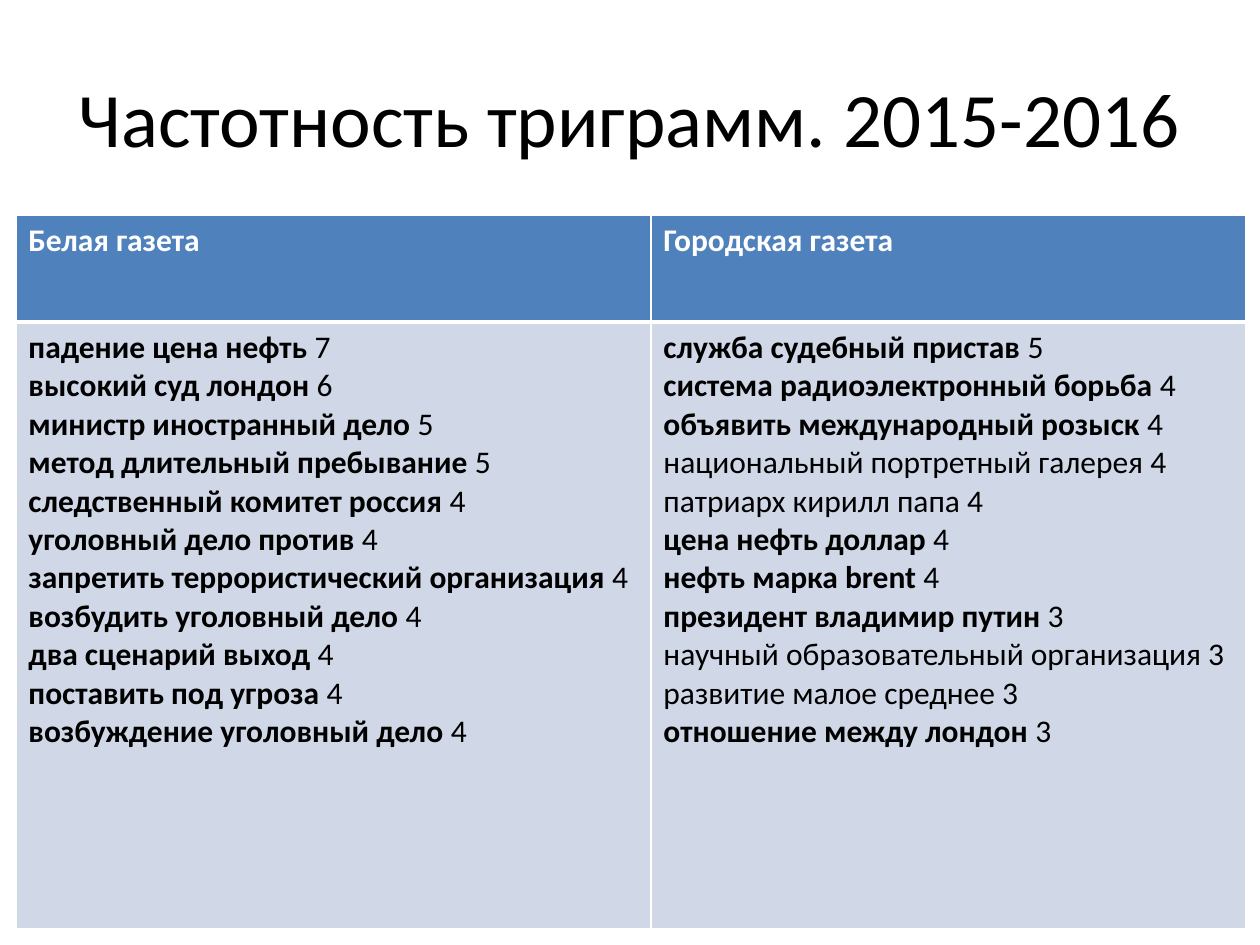
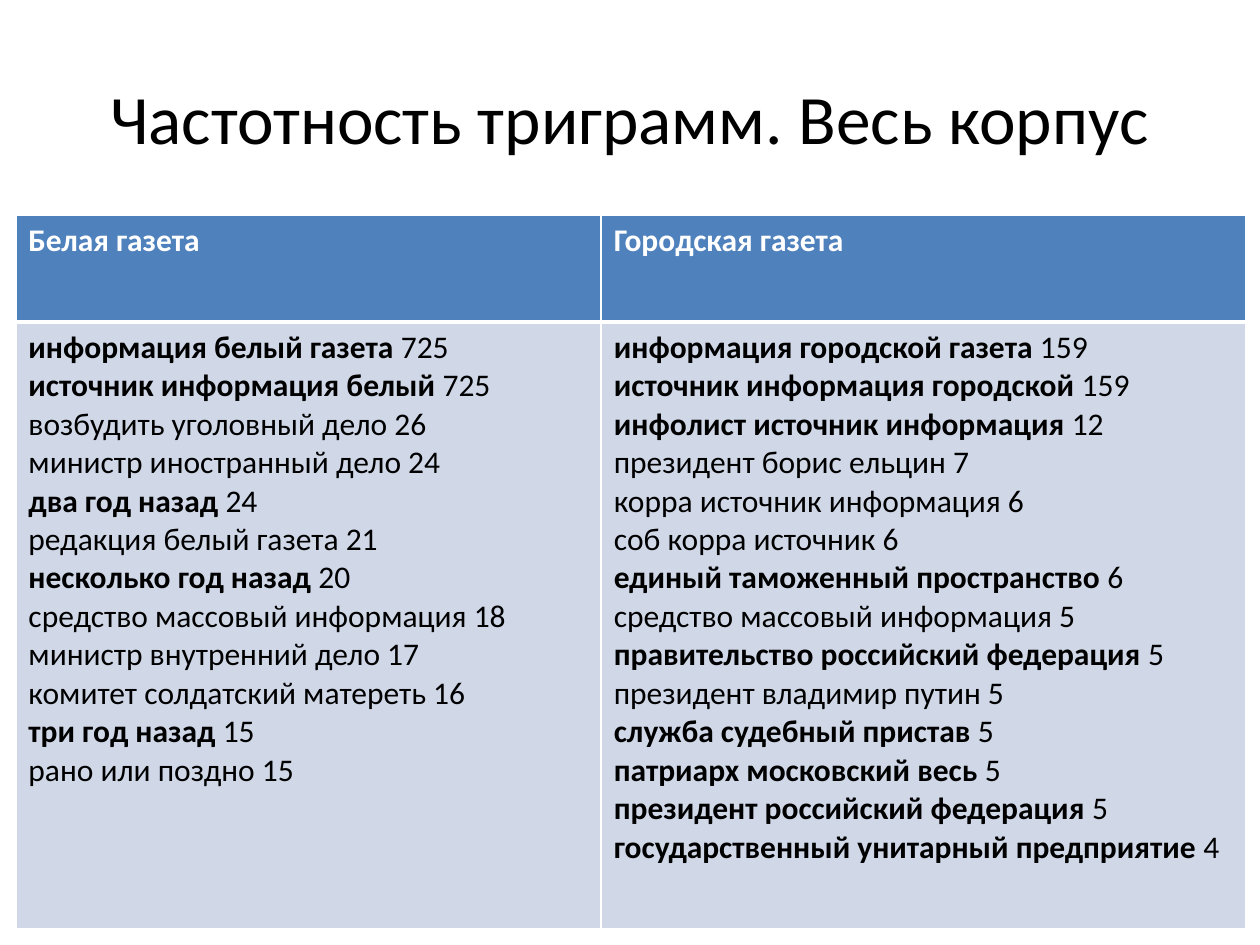
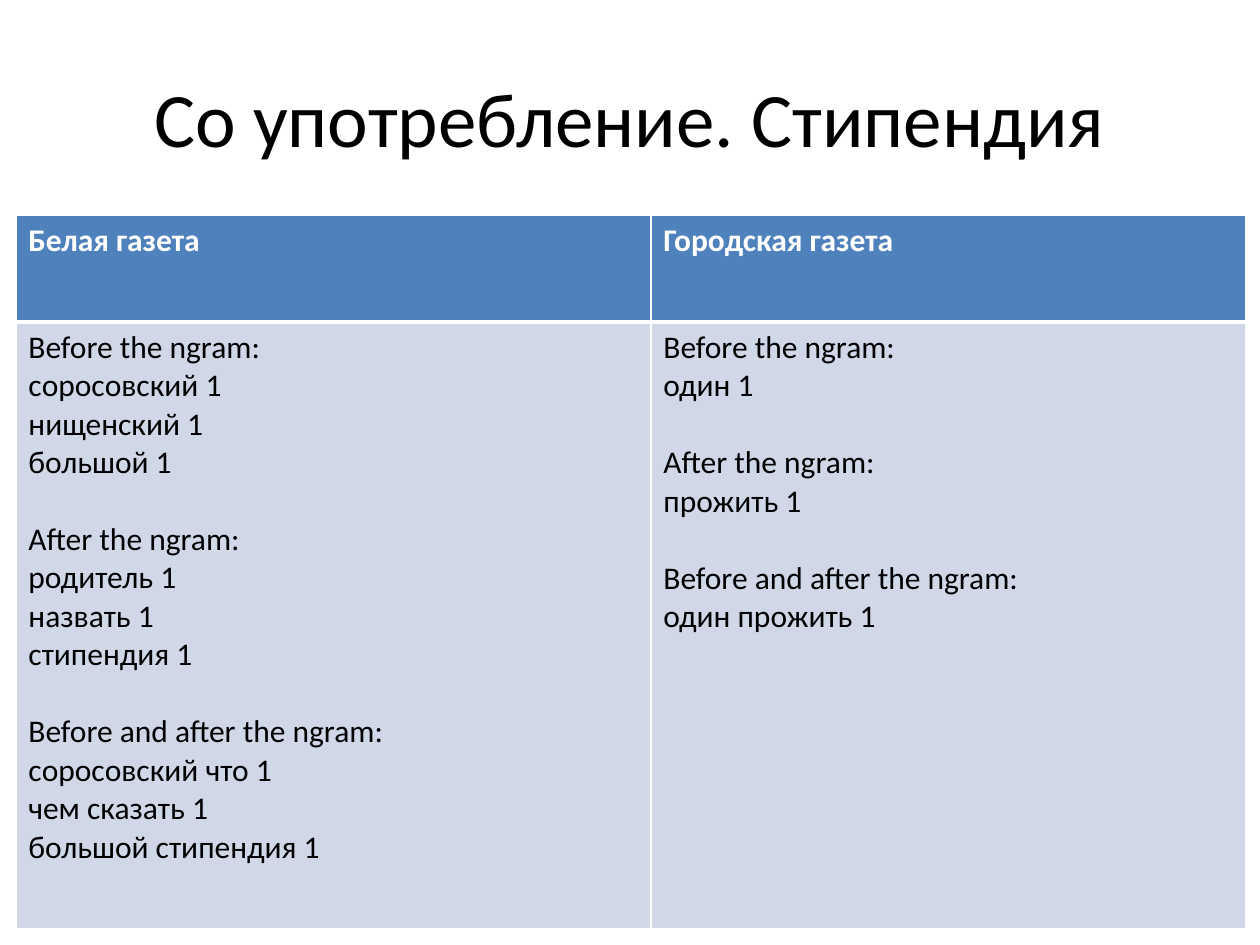
from lxml.etree import SubElement as Sub
from pptx import Presentation
from pptx.dml.color import RGBColor as RGB
from pptx.enum.text import MSO_ANCHOR as Anchor, PP_ALIGN as Align
from pptx.oxml.ns import qn
from pptx.util import Cm, Pt

COLORS = {"head": "4F81BD", "body": "D0D8E8", "line": "FFFFFF",
          "light": "FFFFFF", "dark": "000000"}
FONT = "Calibri"
SIZE = 18
GAP = 22  # one line of text, in points
WIDTH = 24.8
ROWS = [2.16, 12.24]
PAPERS = ["Белая газета", "Городская газета"]

# Title, title size, left column width, and the lines of both columns.
# A leading * makes the words before the count bold.
SLIDES = [
    ("Частотность триграмм. 2015-2016", 44, 12.8, [
        ["*падение цена нефть 7",
         "*высокий суд лондон 6",
         "*министр иностранный дело 5",
         "*метод длительный пребывание 5",
         "*следственный комитет россия 4",
         "*уголовный дело против 4",
         "*запретить террористический организация 4",
         "*возбудить уголовный дело 4",
         "*два сценарий выход 4",
         "*поставить под угроза 4",
         "*возбуждение уголовный дело 4"],
        ["*служба судебный пристав 5",
         "*система радиоэлектронный борьба 4",
         "*объявить международный розыск 4",
         "национальный портретный галерея 4",
         "патриарх кирилл папа 4",
         "*цена нефть доллар 4",
         "*нефть марка brent 4",
         "*президент владимир путин 3",
         "научный образовательный организация 3",
         "развитие малое среднее 3",
         "*отношение между лондон 3"]]),
    ("Частотность триграмм. Весь корпус", 39.6, 11.8, [
        ["*информация белый газета 725",
         "*источник информация белый 725",
         "возбудить уголовный дело 26",
         "министр иностранный дело 24",
         "*два год назад 24",
         "редакция белый газета 21",
         "*несколько год назад 20",
         "средство массовый информация 18",
         "министр внутренний дело 17",
         "комитет солдатский матереть 16",
         "*три год назад 15",
         "рано или поздно 15"],
        ["*информация городской газета 159",
         "*источник информация городской 159",
         "*инфолист источник информация 12",
         "президент борис ельцин 7",
         "корра источник информация 6",
         "соб корра источник 6",
         "*единый таможенный пространство 6",
         "средство массовый информация 5",
         "*правительство российский федерация 5",
         "президент владимир путин 5",
         "*служба судебный пристав 5",
         "*патриарх московский весь 5",
         "*президент российский федерация 5",
         "*государственный унитарный предприятие 4"]]),
    ("Со употребление. Стипендия", 44, 12.8, [
        ["Before the ngram:",
         "соросовский 1",
         "нищенский 1",
         "большой 1",
         "After the ngram:",
         "родитель 1",
         "назвать 1",
         "стипендия 1",
         "Before and after the ngram:",
         "соросовский что 1",
         "чем сказать 1",
         "большой стипендия 1"],
        ["Before the ngram:",
         "один 1",
         "After the ngram:",
         "прожить 1",
         "Before and after the ngram:",
         "один прожить 1"]]),
]


def style(run, size, color, bold=False):
    font = run.font
    font.name, font.size, font.bold = FONT, Pt(size), bold
    font.color.rgb = RGB.from_string(COLORS[color])


def paint(cell, fill, base):
    """Give the cell its borders, the lower one base points wide, and its fill."""
    props = cell._tc.get_or_add_tcPr()
    for side, width in zip("LRTB", (1, 1, 1, base)):
        line = Sub(props, qn(f"a:ln{side}"), w=str(Pt(width)))
        Sub(Sub(line, qn("a:solidFill")), qn("a:srgbClr"), val=COLORS["line"])
    cell.fill.solid()
    cell.fill.fore_color.rgb = RGB.from_string(COLORS[fill])


prs = Presentation()
prs.slide_width, prs.slide_height = Cm(25.4), Cm(19.05)

for title, size, left, lists in SLIDES:
    slide = prs.slides.add_slide(prs.slide_layouts[6])

    frame = slide.shapes.add_textbox(
        Cm(1.27), Cm(0.76), Cm(22.86), Cm(3.18)).text_frame
    frame.word_wrap = True
    frame.vertical_anchor = Anchor.MIDDLE
    frame.text = title
    para = frame.paragraphs[0]
    para.alignment = Align.CENTER
    style(para.runs[0], size, "dark")

    table = slide.shapes.add_table(
        2, 2, Cm(0.32), Cm(4.33), Cm(WIDTH), Cm(sum(ROWS))).table
    table.horz_banding = False
    for row, height in zip(table.rows, ROWS):
        row.height = Cm(height)

    for col, (paper, lines) in enumerate(zip(PAPERS, lists)):
        table.columns[col].width = Cm((left, WIDTH - left)[col])

        head = table.cell(0, col)
        paint(head, "head", 3)
        head.text_frame.text = paper
        style(head.text_frame.paragraphs[0].runs[0], SIZE, "light", True)

        body = table.cell(1, col)
        paint(body, "body", 1)
        frame = body.text_frame
        for i, line in enumerate(lines):
            para = frame.add_paragraph() if i else frame.paragraphs[0]
            if i and line.endswith(":"):
                para.space_before = Pt(GAP)
            if line.startswith("*"):
                words, count = line[1:].rsplit(" ", 1)
                para.text = words + " "
                style(para.runs[0], SIZE, "dark", True)
                run = para.add_run()
                run.text = count
                style(run, SIZE, "dark")
            else:
                para.text = line
                style(para.runs[0], SIZE, "dark")

prs.save("out.pptx")
